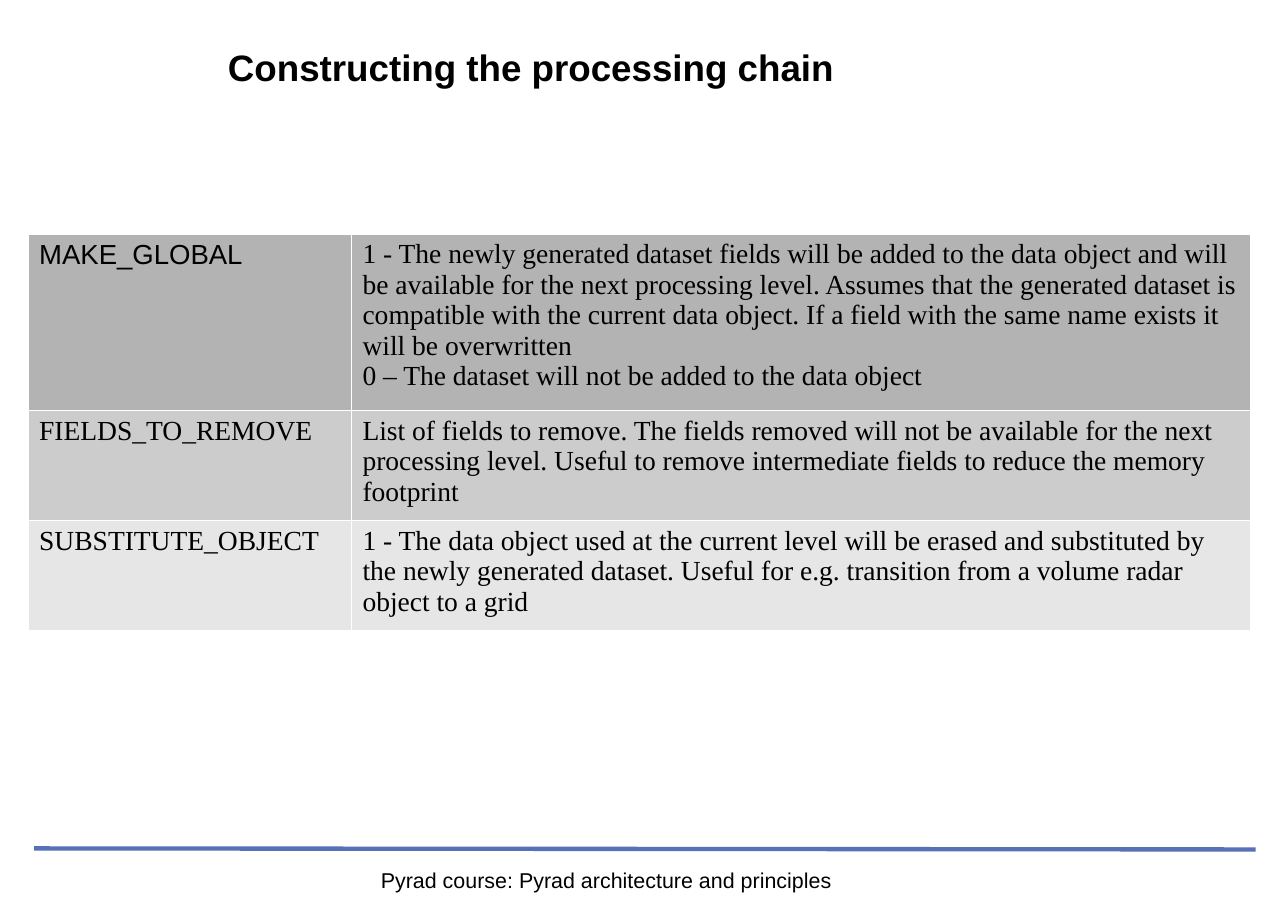
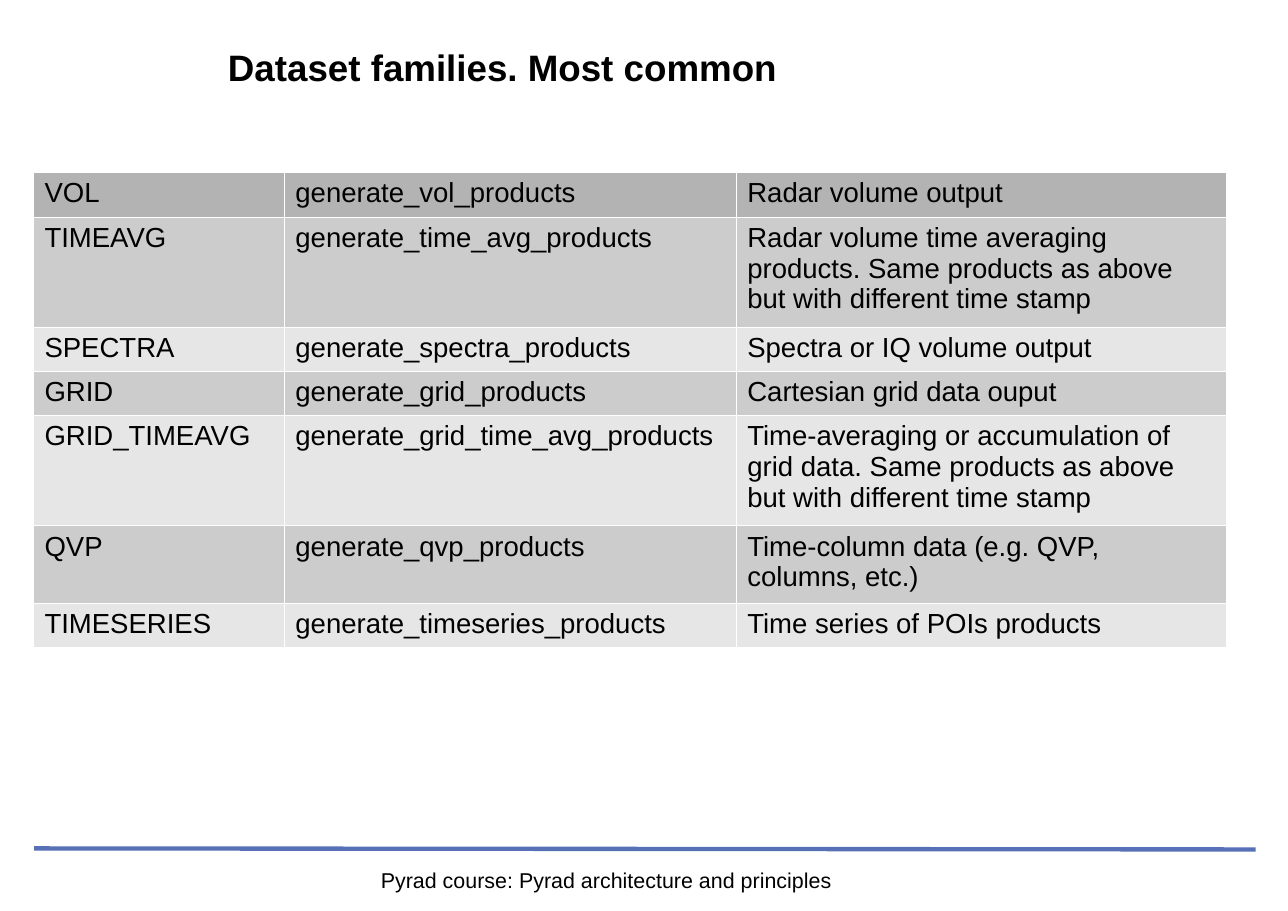
from dataclasses import dataclass

from lxml.etree import SubElement
from pptx import Presentation
from pptx.dml.color import RGBColor
from pptx.enum.shapes import MSO_CONNECTOR
from pptx.enum.text import MSO_ANCHOR as Anchor, MSO_AUTO_SIZE as AutoSize, PP_ALIGN as Align
from pptx.oxml.ns import qn
from pptx.slide import Slide
from pptx.table import _Cell as Cell
from pptx.text.text import TextFrame
from pptx.util import Pt

SANS, SERIF = "Arial", "Times New Roman"
BLACK, WHITE, RULE_BLUE = "000000", "FFFFFF", "5770B6"
HEADER_GREY, BAND_GREYS = "B3B3B3", ("CCCCCC", "E6E6E6")
FOOTER = "Pyrad course: Pyrad architecture and principles"
LINE_HEIGHT, ROW_PADDING = 21.4, 7.5


@dataclass(frozen=True)
class Row:
    cells: tuple[str, ...]
    lines: int = 1


@dataclass(frozen=True)
class TablePage:
    title: str
    left: float
    top: float
    widths: tuple[float, ...]
    rows: tuple[Row, ...]
    font: str = SANS


PAGES = (
    TablePage(
        "Constructing the processing chain", 18.4, 152.7, (211.4, 587.4),
        (
            Row(("MAKE_GLOBAL",
                 "1 - The newly generated dataset fields will be added to the data object "
                 "and will be available for the next processing level. Assumes that the "
                 "generated dataset is compatible with the current data object. If a field "
                 "with the same name exists it will be overwritten\n"
                 "0 – The dataset will not be added to the data object"), 5),
            Row(("FIELDS_TO_REMOVE",
                 "List of fields to remove. The fields removed will not be available for the "
                 "next processing level. Useful to remove intermediate fields to reduce the "
                 "memory footprint"), 3),
            Row(("SUBSTITUTE_OBJECT",
                 "1 - The data object used at the current level will be erased and "
                 "substituted by the newly generated dataset. Useful for e.g. transition "
                 "from a volume radar object to a grid"), 3),
        ),
        font=SERIF,
    ),
    TablePage(
        "Dataset families. Most common", 21.9, 112.7, (164, 295.4, 320),
        (
            Row(("VOL", "generate_vol_products", "Radar volume output")),
            Row(("TIMEAVG", "generate_time_avg_products",
                 "Radar volume time averaging products. Same products as above but with "
                 "different time stamp"), 3),
            Row(("SPECTRA", "generate_spectra_products", "Spectra or IQ volume output")),
            Row(("GRID", "generate_grid_products", "Cartesian grid data ouput")),
            Row(("GRID_TIMEAVG", "generate_grid_time_avg_products",
                 "Time-averaging or accumulation of grid data. Same products as above but "
                 "with different time stamp"), 3),
            Row(("QVP", "generate_qvp_products",
                 "Time-column data (e.g. QVP, columns, etc.)"), 2),
            Row(("TIMESERIES", "generate_timeseries_products",
                 "Time series of POIs products")),
        ),
    ),
)


def color(value: str) -> RGBColor:
    return RGBColor.from_string(value)


def write(frame: TextFrame, text: str, *, size: float, font: str = SANS,
          bold: bool = False, align: Align = Align.LEFT) -> None:
    frame.word_wrap = True
    frame.text = text
    for para in frame.paragraphs:
        para.alignment = align
        for span in para.runs:
            span.font.name = font
            span.font.size = Pt(size)
            span.font.bold = bold
            span.font.color.rgb = color(BLACK)


def clear_margins(frame: TextFrame) -> None:
    frame.margin_left = frame.margin_top = frame.margin_right = frame.margin_bottom = 0


def add_title(page: Slide, text: str) -> None:
    box = page.shapes.title
    box.left, box.top, box.width, box.height = Pt(149), Pt(19.4), Pt(665.3), Pt(48.2)
    box.fill.solid()
    box.fill.fore_color.rgb = color(WHITE)
    frame = box.text_frame
    clear_margins(frame)
    frame.auto_size = AutoSize.NONE
    frame.vertical_anchor = Anchor.MIDDLE
    write(frame, text, size=24, bold=True)


def add_footer(page: Slide) -> None:
    rule = page.shapes.add_connector(
        MSO_CONNECTOR.STRAIGHT, Pt(22.3), Pt(554.4), Pt(820.8), Pt(555.1))
    rule.line.color.rgb = color(RULE_BLUE)
    rule.line.width = Pt(2.83)
    SubElement(rule._element.spPr, qn("a:effectLst"))

    box = page.shapes.add_textbox(Pt(107.3), Pt(566.6), Pt(578.2), Pt(28))
    clear_margins(box.text_frame)
    write(box.text_frame, FOOTER, size=14, align=Align.CENTER)


def style_cell(cell: Cell, fill: str) -> None:
    """Draw hairline borders, then the fill, in the order the schema asks for."""
    properties = cell._tc.get_or_add_tcPr()
    for side in ("lnL", "lnR", "lnT", "lnB"):
        border = SubElement(properties, qn(f"a:{side}"), w=str(Pt(0.06)))
        SubElement(SubElement(border, qn("a:solidFill")), qn("a:srgbClr"), val=WHITE)
    cell.fill.solid()
    cell.fill.fore_color.rgb = color(fill)


def add_grid(page: Slide, content: TablePage) -> None:
    heights = [ROW_PADDING + LINE_HEIGHT * row.lines for row in content.rows]
    table = page.shapes.add_table(
        len(heights), len(content.widths), Pt(content.left), Pt(content.top),
        Pt(sum(content.widths)), Pt(sum(heights))).table
    table.first_row = table.horz_banding = False
    for column, width in zip(table.columns, content.widths):
        column.width = Pt(width)
    for r, (row, height) in enumerate(zip(content.rows, heights)):
        table.rows[r].height = Pt(height)
        fill = BAND_GREYS[(r - 1) % 2] if r else HEADER_GREY
        for c, text in enumerate(row.cells):
            cell = table.cell(r, c)
            style_cell(cell, fill)
            write(cell.text_frame, text, size=18,
                  font=content.font if r or c else SANS)


def main() -> None:
    deck = Presentation()
    deck.slide_width, deck.slide_height = Pt(841.9), Pt(595.3)
    title_only = deck.slide_layouts.get_by_name("Title Only")
    for content in PAGES:
        page = deck.slides.add_slide(title_only)
        add_footer(page)
        add_title(page, content.title)
        add_grid(page, content)
    deck.save("out.pptx")


if __name__ == "__main__":
    main()
